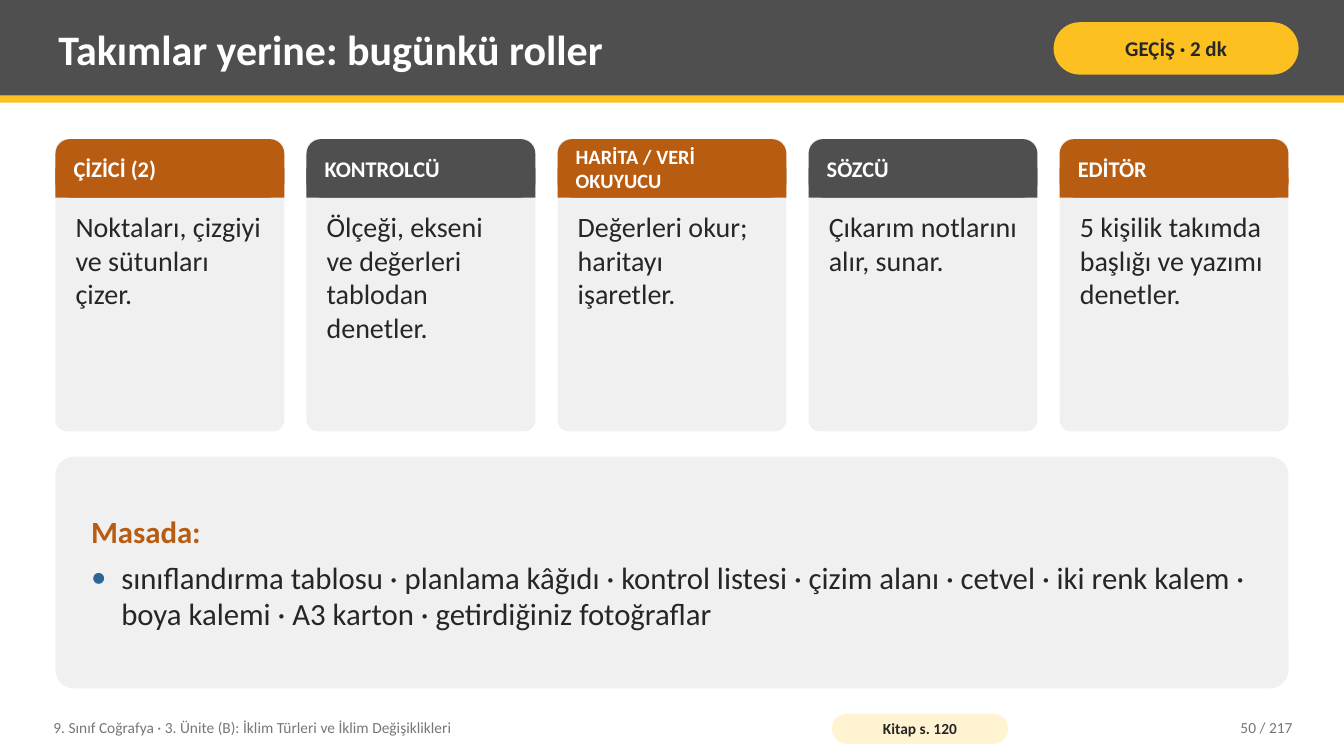
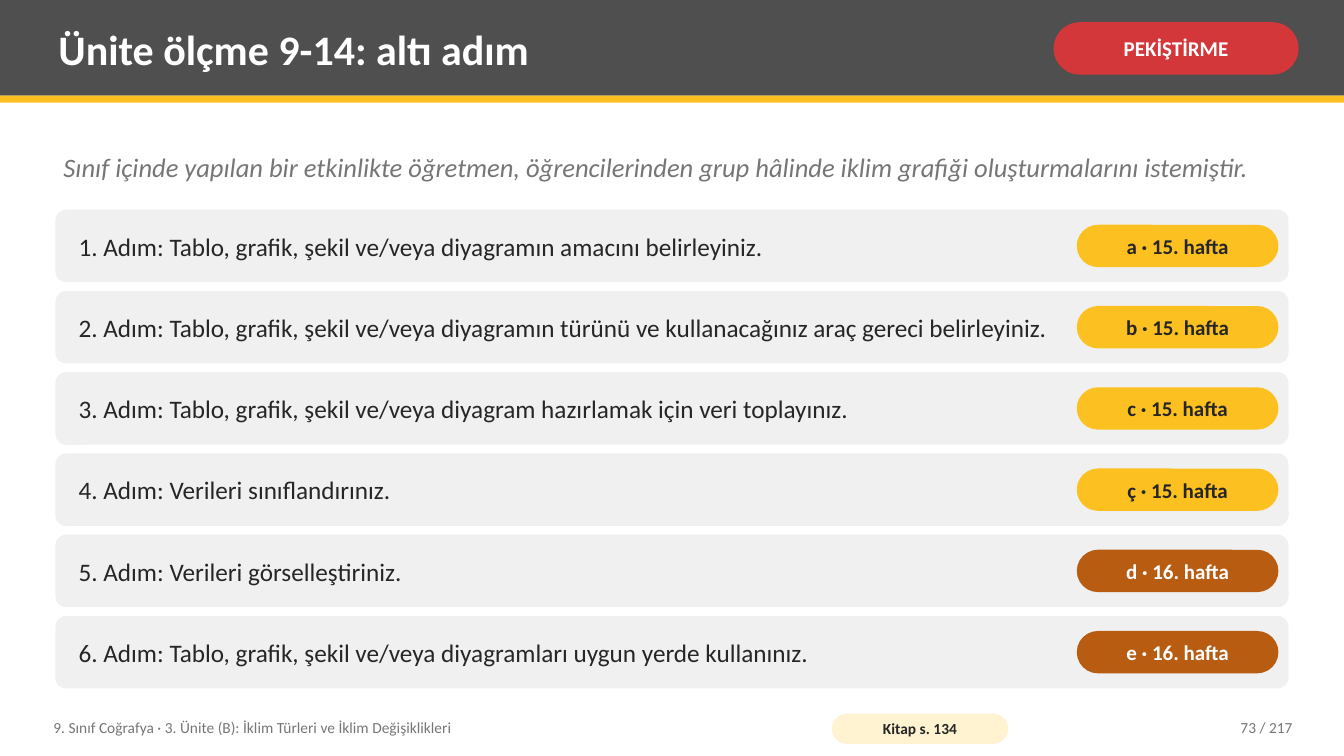
from lxml import etree
from pptx import Presentation, util as u
from pptx.dml.color import RGBColor
from pptx.enum import shapes, text
from pptx.oxml import ns

In = u.Inches
RECT = shapes.MSO_SHAPE.RECTANGLE
ROUND = shapes.MSO_SHAPE.ROUNDED_RECTANGLE
LEFT, CENTER, RIGHT = text.PP_ALIGN.LEFT, text.PP_ALIGN.CENTER, text.PP_ALIGN.RIGHT
MIDDLE, TOP = text.MSO_ANCHOR.MIDDLE, text.MSO_ANCHOR.TOP

FONT = "Calibri"
COLORS = {
    "white": "FFFFFF", "gray": "4F4F4F", "yellow": "FCC021", "rust": "B85C12",
    "red": "D3373A", "panel": "F0F0F0", "cream": "FFF3D1", "ink": "262626",
    "muted": "767676", "blue": "2C6696",
}
ON_FILL = {"yellow": "ink", "cream": "ink", "red": "white", "rust": "white"}

WIDTH, HEIGHT = 13.33, 7.5
MARGIN = 0.55
CONTENT_W = WIDTH - 2 * MARGIN
BOTTOM = 6.83
COURSE = "9. Sınıf Coğrafya · 3. Ünite (B): İklim Türleri ve İklim Değişiklikleri"
TOTAL = 217


def rgb(name):
    return RGBColor.from_string(COLORS[name])


def write(p, content, size=18, color="ink", bold=False, italic=False, align=LEFT, after=0):
    """Add formatted text to a paragraph."""
    p.alignment = align
    p.space_after = u.Pt(after)
    r = p.add_run()
    r.text = content
    r.font.name, r.font.size = FONT, u.Pt(size)
    r.font.bold, r.font.italic = bold, italic
    r.font.color.rgb = rgb(color)


def add_bullet(p, color, indent):
    pPr = p._p.get_or_add_pPr()
    pPr.set("marL", str(In(indent)))
    pPr.set("indent", str(-In(indent)))
    clr = etree.SubElement(pPr, ns.qn("a:buClr"))
    etree.SubElement(clr, ns.qn("a:srgbClr")).set("val", COLORS[color])
    etree.SubElement(pPr, ns.qn("a:buFont")).set("typeface", FONT)
    etree.SubElement(pPr, ns.qn("a:buChar")).set("char", "•")


class Deck:
    def __init__(self):
        self.prs = Presentation()
        self.prs.slide_width, self.prs.slide_height = In(WIDTH), In(HEIGHT)
        self.s = None

    def frame(self, sp, inset_x, inset_y, anchor=MIDDLE):
        tf = sp.text_frame
        tf.word_wrap = True
        tf.vertical_anchor = anchor
        tf.margin_left = tf.margin_right = In(inset_x)
        tf.margin_top = tf.margin_bottom = In(inset_y)
        return tf

    def box(self, x, y, w, h, fill, radius=None):
        kind = RECT if radius is None else ROUND
        sp = self.s.shapes.add_shape(kind, In(x), In(y), In(w), In(h))
        if radius is not None:
            sp.adjustments[0] = radius
        sp.fill.solid()
        sp.fill.fore_color.rgb = rgb(fill)
        sp.line.fill.background()
        sp.shadow.inherit = False
        return sp

    def label(self, x, y, w, h, content, anchor=MIDDLE, **fmt):
        sp = self.s.shapes.add_textbox(In(x), In(y), In(w), In(h))
        write(self.frame(sp, 0.08, 0.04, anchor).paragraphs[0], content, **fmt)

    def pill(self, x, y, w, h, content, fill, size=15):
        tf = self.frame(self.box(x, y, w, h, fill, 0.5), 0.04, 0)
        write(tf.paragraphs[0], content, size=size, color=ON_FILL[fill], bold=True, align=CENTER)

    def slide(self, title, tag, tag_fill, book_page, number):
        self.s = self.prs.slides.add_slide(self.prs.slide_layouts[6])
        # Title band
        self.box(0, 0, WIDTH, 0.95, "gray")
        self.box(0, 0.95, WIDTH, 0.07, "yellow")
        self.label(0.5, 0.07, 9.75, 0.82, title, size=30, color="white", bold=True)
        self.pill(10.45, 0.22, 2.43, 0.52, tag, tag_fill)
        # Footer
        self.label(0.45, 7.04, 7.6, 0.36, COURSE, size=11, color="muted")
        self.pill(8.25, 7.08, 1.75, 0.3, f"Kitap s. {book_page}", "cream", size=11)
        self.label(11.3, 7.04, 1.6, 0.36, f"{number} / {TOTAL}", size=11, color="muted", align=RIGHT)

    def role_card(self, x, y, w, h, name, duty, fill, size):
        head = 0.58
        self.box(x, y, w, h, "panel", 0.05)
        self.box(x, y, w, head, fill, 0.25)
        self.box(x, y + head / 2, w, head / 2, fill)
        self.label(x + 0.1, y, w - 0.2, head, name, size=size, color="white", bold=True)
        self.label(x + 0.12, y + head + 0.08, w - 0.24, h - head - 0.16, duty, TOP, size=20)

    def list_panel(self, y, h, heading, items):
        tf = self.frame(self.box(MARGIN, y, CONTENT_W, h, "panel", 0.08), 0.3, 0.08)
        write(tf.paragraphs[0], heading, size=22, color="rust", bold=True, after=6)
        for item in items:
            p = tf.add_paragraph()
            add_bullet(p, "blue", 0.3)
            write(p, item, size=22)

    def step_row(self, y, h, content, tag, fill):
        pill_w, pill_h = 2, 0.42
        pill_x = MARGIN + CONTENT_W - pill_w - 0.1
        self.box(MARGIN, y, CONTENT_W, h, "panel", 0.15)
        self.label(0.7, y, pill_x - 0.85, h, content)
        self.pill(pill_x, y + (h - pill_h) / 2, pill_w, pill_h, tag, fill)


def roles_slide(deck):
    deck.slide("Takımlar yerine: bugünkü roller", "GEÇİŞ · 2 dk", "yellow", 120, 50)
    # Role cards
    roles = [
        ("ÇİZİCİ (2)", "Noktaları, çizgiyi ve sütunları çizer.", 16),
        ("KONTROLCÜ", "Ölçeği, ekseni ve değerleri tablodan denetler.", 16),
        ("HARİTA / VERİ OKUYUCU", "Değerleri okur; haritayı işaretler.", 14.5),
        ("SÖZCÜ", "Çıkarım notlarını alır, sunar.", 16),
        ("EDİTÖR", "5 kişilik takımda başlığı ve yazımı denetler.", 16),
    ]
    gap = 0.22
    card_w = (CONTENT_W - gap * (len(roles) - 1)) / len(roles)
    for i, (name, duty, size) in enumerate(roles):
        fill = ("rust", "gray")[i % 2]
        deck.role_card(MARGIN + i * (card_w + gap), 1.38, card_w, 2.9, name, duty, fill, size)
    # Materials
    deck.list_panel(4.53, BOTTOM - 4.53, "Masada:", [
        "sınıflandırma tablosu · planlama kâğıdı · kontrol listesi · çizim alanı · cetvel · "
        "iki renk kalem · boya kalemi · A3 karton · getirdiğiniz fotoğraflar",
    ])


def steps_slide(deck):
    deck.slide("Ünite ölçme 9-14: altı adım", "PEKİŞTİRME", "red", 134, 73)
    deck.label(MARGIN, 1.28, CONTENT_W, 0.75,
               "Sınıf içinde yapılan bir etkinlikte öğretmen, öğrencilerinden grup hâlinde "
               "iklim grafiği oluşturmalarını istemiştir.",
               size=19, color="muted", italic=True)
    # Numbered steps
    steps = [
        ("Tablo, grafik, şekil ve/veya diyagramın amacını belirleyiniz.", "a", 15),
        ("Tablo, grafik, şekil ve/veya diyagramın türünü ve kullanacağınız araç gereci "
         "belirleyiniz.", "b", 15),
        ("Tablo, grafik, şekil ve/veya diyagram hazırlamak için veri toplayınız.", "c", 15),
        ("Verileri sınıflandırınız.", "ç", 15),
        ("Verileri görselleştiriniz.", "d", 16),
        ("Tablo, grafik, şekil ve/veya diyagramları uygun yerde kullanınız.", "e", 16),
    ]
    top, row_h = 2.08, 0.72
    pitch = (BOTTOM - row_h - top) / (len(steps) - 1)
    week_fill = {15: "yellow", 16: "rust"}
    for i, (content, letter, week) in enumerate(steps):
        deck.step_row(top + i * pitch, row_h, f"{i + 1}. Adım: {content}",
                      f"{letter} · {week}. hafta", week_fill[week])


def main():
    deck = Deck()
    roles_slide(deck)
    steps_slide(deck)
    deck.prs.save("out.pptx")


if __name__ == "__main__":
    main()
